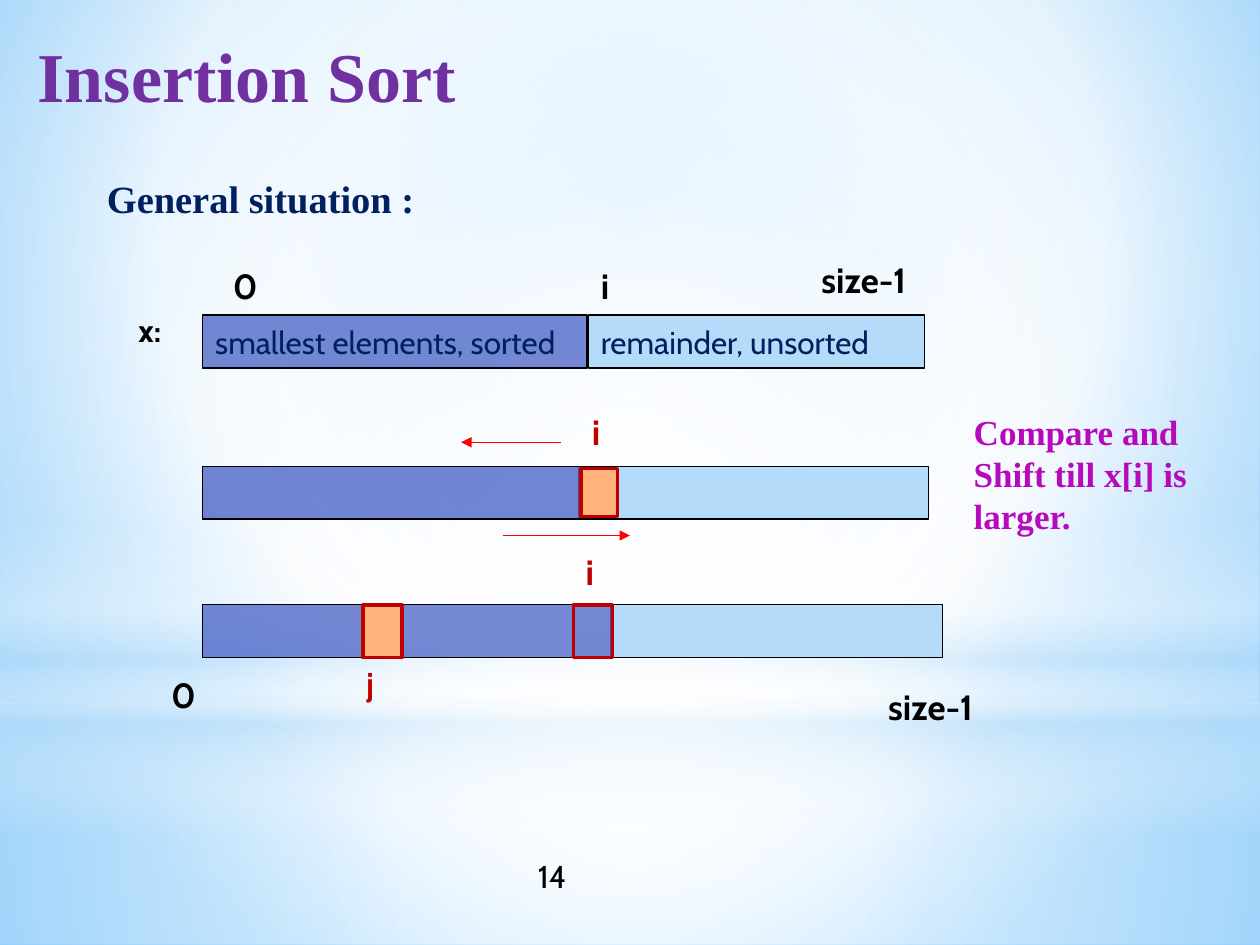
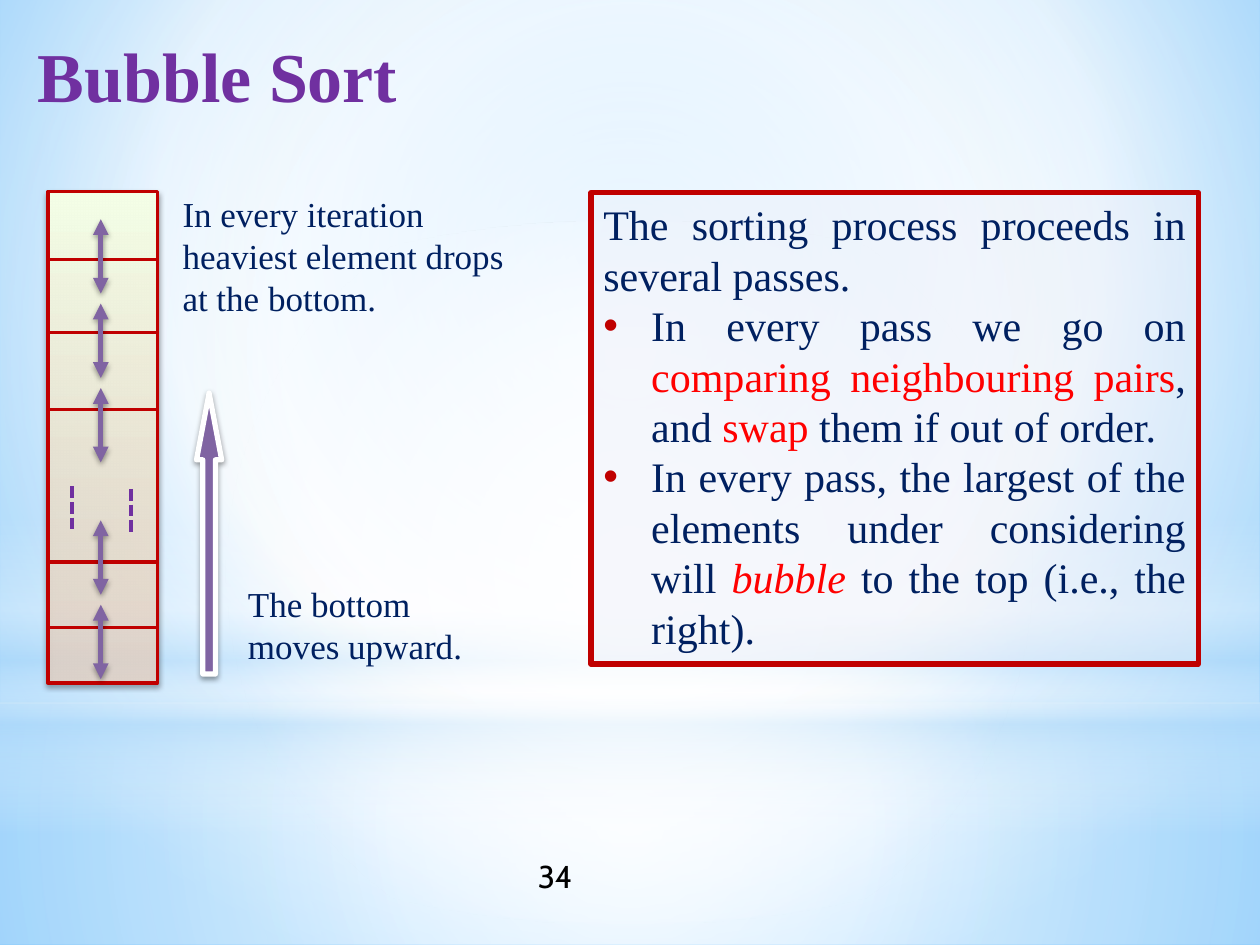
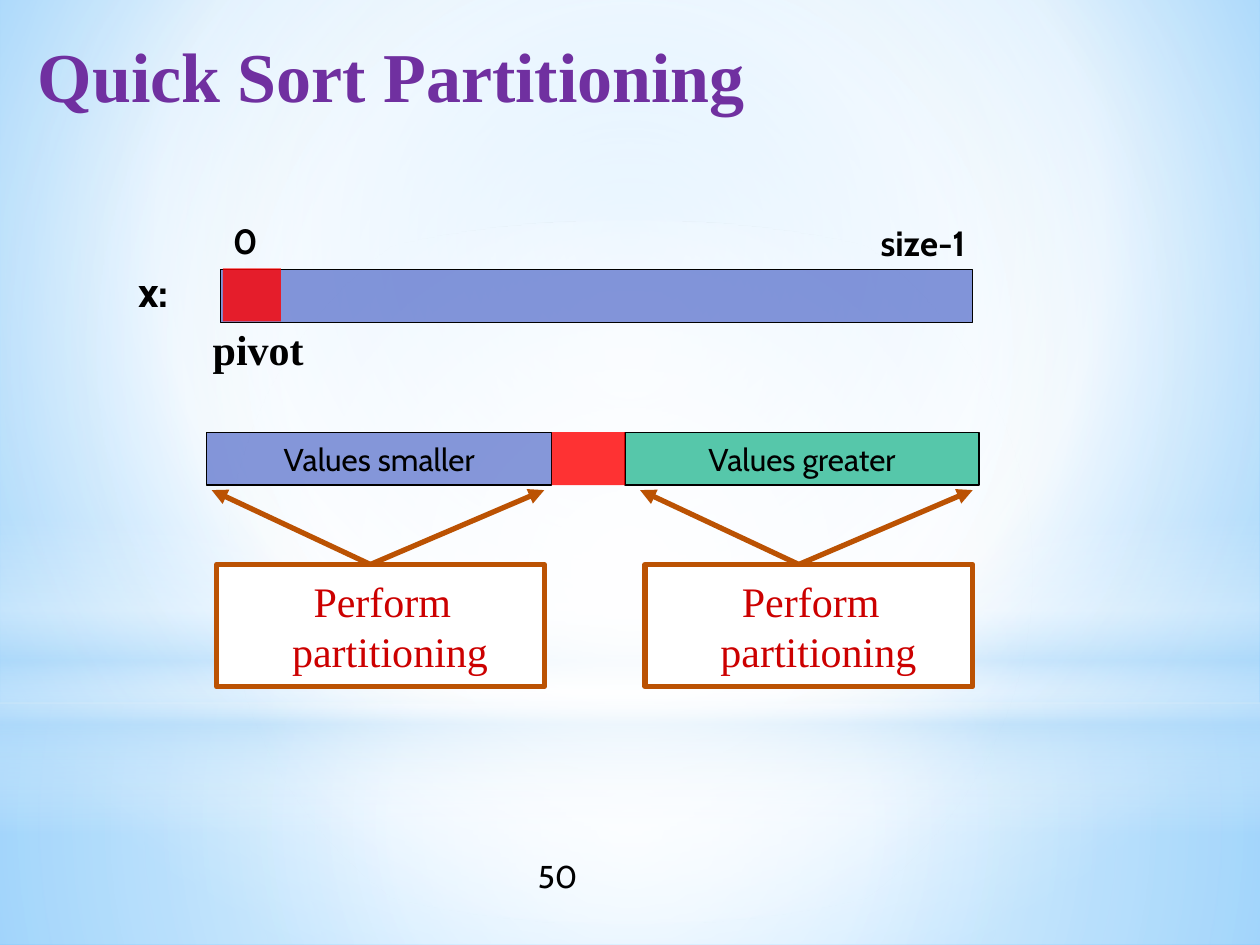
from lxml.etree import SubElement
from pptx import Presentation
from pptx.dml.color import RGBColor
from pptx.enum.dml import MSO_LINE
from pptx.enum.shapes import MSO_CONNECTOR, MSO_SHAPE
from pptx.enum.text import MSO_ANCHOR, PP_ALIGN
from pptx.oxml.ns import qn
from pptx.util import Inches, Pt

SERIF, SANS = "Times New Roman", "Cabin"
BLACK, WHITE, NAVY, PURPLE = "000000", "FFFFFF", "002060", "7030A0"
INDIGO, SKY, PEACH, GREEN = "4E67C8", "B4DCFA", "FFB37A", "56C7AA"
RED, CRIMSON, BROWN, VIOLET = "FF0000", "C00000", "BB5203", "8064A2"
BAR_HEIGHT = 0.42


def rgb(color):
    return RGBColor.from_string(color)


def add_alpha(color_node, opacity):
    if opacity < 100:
        SubElement(color_node, qn("a:alpha"), val=str(opacity * 1000))


def paint_gradient(properties, stops, angle=None, focus=(50, 50, 50, 50)):
    """Replace a solid fill by a linear gradient, or a circular one if no angle is given."""
    solid = properties.find(qn("a:solidFill"))
    gradient = SubElement(properties, qn("a:gradFill"), rotWithShape="1")
    properties.replace(solid, gradient)
    stop_list = SubElement(gradient, qn("a:gsLst"))
    for position, color, opacity in stops:
        stop = SubElement(stop_list, qn("a:gs"), pos=str(position * 1000))
        add_alpha(SubElement(stop, qn("a:srgbClr"), val=color), opacity)
    if angle is None:
        circle = SubElement(gradient, qn("a:path"))
        circle.set("path", "circle")
        sides = {side: str(part * 1000) for side, part in zip("ltrb", focus)}
        SubElement(circle, qn("a:fillToRect"), **sides)
    else:
        SubElement(gradient, qn("a:lin"), ang=str(angle * 60000), scaled="0")


def set_effects(item, shadow):
    """Clear the theme shadow and, if asked, add a soft one falling downwards."""
    properties = item.element.spPr
    effects = properties.find(qn("a:effectLst"))
    if effects is None:
        effects = SubElement(properties, qn("a:effectLst"))
    if shadow:
        drop = SubElement(effects, qn("a:outerShdw"), blurRad=str(Pt(3.1)),
                          dist=str(Pt(1.6)), dir="5400000", rotWithShape="0")
        add_alpha(SubElement(drop, qn("a:srgbClr"), val=BLACK), 38)


def indent(para, left, bullet_color=None):
    properties = para._p.get_or_add_pPr()
    properties.set("marL", str(Inches(left)))
    if bullet_color:
        properties.set("indent", str(-Inches(left)))
        color = SubElement(properties, qn("a:buClr"))
        SubElement(color, qn("a:srgbClr"), val=bullet_color)
        SubElement(properties, qn("a:buFont"), typeface="Arial")
        SubElement(properties, qn("a:buChar"), char="•")
        defaults = properties.find(qn("a:defRPr"))
        if defaults is not None:
            properties.append(defaults)


class SortingDeck:
    def __init__(self):
        self.deck = Presentation()
        self.deck.slide_width, self.deck.slide_height = Inches(10), Inches(7.5)
        self.layout = self.deck.slide_layouts[5]
        for holder in list(self.layout.placeholders):
            if holder.placeholder_format.idx >= 10:
                holder.element.getparent().remove(holder.element)
        self.page = None

    def new_page(self, title, number):
        self.page = self.deck.slides.add_slide(self.layout)
        if len(self.deck.slides) == 1:
            self.paint_backdrop()
        heading = self.page.shapes.title
        heading.left, heading.top = Inches(0.2), Inches(0.21)
        heading.width, heading.height = Inches(9.53), Inches(1.02)
        self.set_text(heading, [title], 40, PURPLE, SERIF, bold=True)
        self.label(number, 4.17, 6.75, 2, 18, bold=False)

    def paint_backdrop(self):
        """Put the background and the glow shapes on the shared layout."""
        self.layout.background.fill.solid()
        background = self.layout.element.cSld.find(qn("p:bg")).find(qn("p:bgPr"))
        paint_gradient(background, [(0, "9ED5FF", 100), (60, WHITE, 100), (100, "5BB9FF", 100)],
                       focus=(20, 10, 20, 60))
        rect, oval = MSO_SHAPE.RECTANGLE, MSO_SHAPE.OVAL
        glows = [
            (rect, 5.58, 1.92, [(0, WHITE, 91), (37, WHITE, 76), (100, SKY, 79)], None),
            (rect, 0, 5.58, [(0, WHITE, 89), (48, WHITE, 62), (100, SKY, 79)], None),
            (rect, 4.12, 2.5, [(0, WHITE, 0), (29, WHITE, 30), (45, SKY, 40),
                               (55, WHITE, 26), (65, SKY, 60), (100, WHITE, 0)], 90),
            (oval, 1.75, 5.58, [(0, WHITE, 100), (56, WHITE, 0)], None),
        ]
        tree = self.layout.element.cSld.spTree
        for place, (kind, top, height, stops, angle) in enumerate(glows, start=2):
            glow = self.shape(0, top, 10, height, WHITE, kind=kind)
            paint_gradient(glow.element.spPr, stops, angle)
            glow.element.nvSpPr.cNvPr.set("id", str(place + 10))
            tree.insert(place, glow.element)

    def set_text(self, shape, lines, size, color, font=SANS, bold=False,
                 align=PP_ALIGN.LEFT, anchor=MSO_ANCHOR.TOP):
        """Fill a shape; a line is a string or a list of (text, color, italic) spans."""
        frame = shape.text_frame
        frame.word_wrap, frame.vertical_anchor = True, anchor
        for place, line in enumerate(lines):
            para = frame.add_paragraph() if place else frame.paragraphs[0]
            para.alignment = align
            para.font.size, para.font.name, para.font.bold = Pt(size), font, bold
            para.font.color.rgb = rgb(color)
            for text, tint, italic in [(line, color, False)] if isinstance(line, str) else line:
                span = para.add_run()
                span.text = text
                if tint != color:
                    span.font.color.rgb = rgb(tint)
                if italic:
                    span.font.italic = True
        return frame.paragraphs

    def label(self, text, left, top, width=0.5, size=20, color=BLACK, font=SANS,
              bold=True, height=0.43):
        box = self.page.shapes.add_textbox(Inches(left), Inches(top), Inches(width), Inches(height))
        self.set_text(box, text.split("\n"), size, color, font, bold)

    def shape(self, left, top, width, height, fill, opacity=100, line=None, weight=0.75,
              kind=MSO_SHAPE.RECTANGLE, shadow=False):
        shape = self.page.shapes.add_shape(kind, Inches(left), Inches(top),
                                           Inches(width), Inches(height))
        shape.shadow.inherit = False
        shape.fill.solid()
        shape.fill.fore_color.rgb = rgb(fill)
        add_alpha(shape.element.spPr.find(qn("a:solidFill"))[0], opacity)
        if line:
            shape.line.color.rgb = rgb(line)
            shape.line.width = Pt(weight)
        else:
            shape.line.fill.background()
        set_effects(shape, shadow)
        return shape

    def bar(self, left, top, width, fill, opacity=100, text=None, color=NAVY,
            align=PP_ALIGN.LEFT):
        """Draw one stretch of an array."""
        bar = self.shape(left, top, width, BAR_HEIGHT, fill, opacity, BLACK)
        if text:
            self.set_text(bar, [text], 18, color, align=align, anchor=MSO_ANCHOR.MIDDLE)

    def line(self, start, end, color, weight, heads="", dash=None, shadow=False):
        """Draw a line; heads names its arrow ends: "", "tail" or "head tail"."""
        line = self.page.shapes.add_connector(MSO_CONNECTOR.STRAIGHT, *map(Inches, start + end))
        line.line.color.rgb = rgb(color)
        line.line.width = Pt(weight)
        if dash:
            line.line.dash_style = dash
        for head in heads.split():
            SubElement(line.element.spPr.find(qn("a:ln")), qn(f"a:{head}End"), type="triangle")
        set_effects(line, shadow)


def insertion_sort(deck):
    deck.new_page("Insertion Sort", "14")
    deck.label("General situation :", 0.75, 1.34, 8.45, 22, NAVY, SERIF, height=0.72)

    deck.bar(4.67, 2.5, 2.67, SKY, text="remainder, unsorted")
    deck.bar(1.61, 2.5, 3.05, INDIGO, 78, "smallest elements, sorted")
    deck.label("0", 1.75, 2.05)
    deck.label("i", 4.67, 2.05)
    deck.label("size-1", 6.42, 2, 1.43)
    deck.label("x:", 1, 2.42, size=18)

    deck.bar(4.59, 3.7, 2.78, SKY)
    deck.bar(1.61, 3.7, 3, INDIGO, 80)
    deck.shape(4.61, 3.72, 0.29, 0.38, PEACH, line=CRIMSON, weight=2)
    deck.label("i", 4.6, 3.21, color=CRIMSON)
    deck.line((4.45, 3.51), (3.66, 3.51), RED, 0.75, "tail")
    deck.line((3.99, 4.25), (5, 4.25), RED, 0.75, "tail")
    deck.label("Compare and\nShift till x[i] is\nlarger.", 7.63, 3.21, 2.2, 20, "B808BC", SERIF,
               height=1.11)

    for left, width, fill, opacity in [(1.61, 1.27, INDIGO, 78), (3.19, 1.36, INDIGO, 77),
                                       (4.85, 2.63, SKY, 100)]:
        deck.bar(left, 4.8, width, fill, opacity)
    for left, fill, opacity in [(2.88, PEACH, 100), (4.55, INDIGO, 78)]:
        deck.shape(left, 4.8, 0.31, BAR_HEIGHT, fill, opacity, CRIMSON, 2)
    deck.label("i", 4.55, 4.32, color=CRIMSON)
    deck.label("j", 2.81, 5.22, size=18, color=CRIMSON)
    deck.label("0", 1.26, 5.3)
    deck.label("size-1", 6.95, 5.39, 1.49)


def bubble_sort(deck):
    deck.new_page("Bubble Sort", "34")
    column = deck.shape(0.38, 1.52, 0.87, 3.9, WHITE, line=CRIMSON, weight=2, shadow=True)
    paint_gradient(column.element.spPr, [(0, "FFE6D3", 69), (100, "F5FFE7", 100)], angle=270)
    for top in (2.06, 2.64, 3.25, 4.46, 4.98):
        deck.line((0.38, top), (1.25, top), CRIMSON, 2)
    for top in (1.74, 2.41, 3.08, 4.13, 4.8):
        deck.line((0.8, top), (0.8, top + 0.59), VIOLET, 3, "head tail", shadow=True)
    for left, top in [(1.04, 3.88), (0.57, 3.86)]:
        deck.line((left, top), (left, top + 0.35), PURPLE, 2.25, dash=MSO_LINE.SQUARE_DOT)
    rise = deck.shape(1.56, 3.12, 0.2, 2.23, VIOLET, line=WHITE, weight=3,
                      kind=MSO_SHAPE.UP_ARROW, shadow=True)
    rise.adjustments[0], rise.adjustments[1] = 0.5, 2.65

    summary = deck.shape(4.69, 1.53, 4.82, 3.74, "ECEFF8", 42, CRIMSON, 3)
    paras = deck.set_text(summary, [
        "The sorting process proceeds in several passes.",
        [("In every pass we go on ", NAVY, False), ("comparing neighbouring pairs", RED, False),
         (", and ", NAVY, False), ("swap", RED, False),
         (" them if out of order.", NAVY, False)],
        [("In every pass, the largest of the elements under considering will ", NAVY, False),
         ("bubble ", RED, True), ("to the top (i.e., the right).", NAVY, False)],
    ], 24, NAVY, SERIF, align=PP_ALIGN.JUSTIFY)
    for para in paras[1:]:
        indent(para, 0.38, CRIMSON)
    deck.label("In every iteration heaviest element drops at the bottom.", 1.35, 1.48, 2.95,
               color=NAVY, font=SERIF, bold=False, height=1.11)
    deck.label("The bottom moves upward.", 1.87, 4.57, 2.2,
               color=NAVY, font=SERIF, bold=False, height=0.77)


def quick_sort(deck):
    deck.new_page("Quick Sort Partitioning", "50")
    deck.bar(1.75, 2.14, 5.97, INDIGO, 69)
    deck.shape(1.77, 2.13, 0.46, BAR_HEIGHT, RED, 80)
    deck.label("0", 1.75, 1.69)
    deck.label("size-1", 6.89, 1.71, 1.43)
    deck.label("x:", 1, 2.06, 0.6, 24)
    deck.label("pivot", 1.59, 2.52, 1.2, 24, font=SERIF)

    deck.bar(1.64, 3.43, 2.74, INDIGO, 68, "Values smaller", BLACK, PP_ALIGN.CENTER)
    deck.bar(4.96, 3.43, 2.81, GREEN, 100, "Values greater", BLACK, PP_ALIGN.CENTER)
    deck.shape(4.38, 3.43, 0.58, BAR_HEIGHT, RED, 80)

    for left in (1.72, 5.12):
        step = deck.shape(left, 4.48, 2.6, 0.97, WHITE, line=BROWN, weight=3)
        paras = deck.set_text(step, ["Perform", "partitioning"], 24, "CC0000", SERIF,
                              anchor=MSO_ANCHOR.MIDDLE)
        for para, margin in zip(paras, (0.67, 0.5)):
            indent(para, margin)
        for tip in (left - 0.04, left + 2.6):
            deck.line((left + 1.22, 4.48), (tip, 3.89), BROWN, 3, "tail")


def main():
    deck = SortingDeck()
    insertion_sort(deck)
    bubble_sort(deck)
    quick_sort(deck)
    deck.deck.save("out.pptx")


if __name__ == "__main__":
    main()
